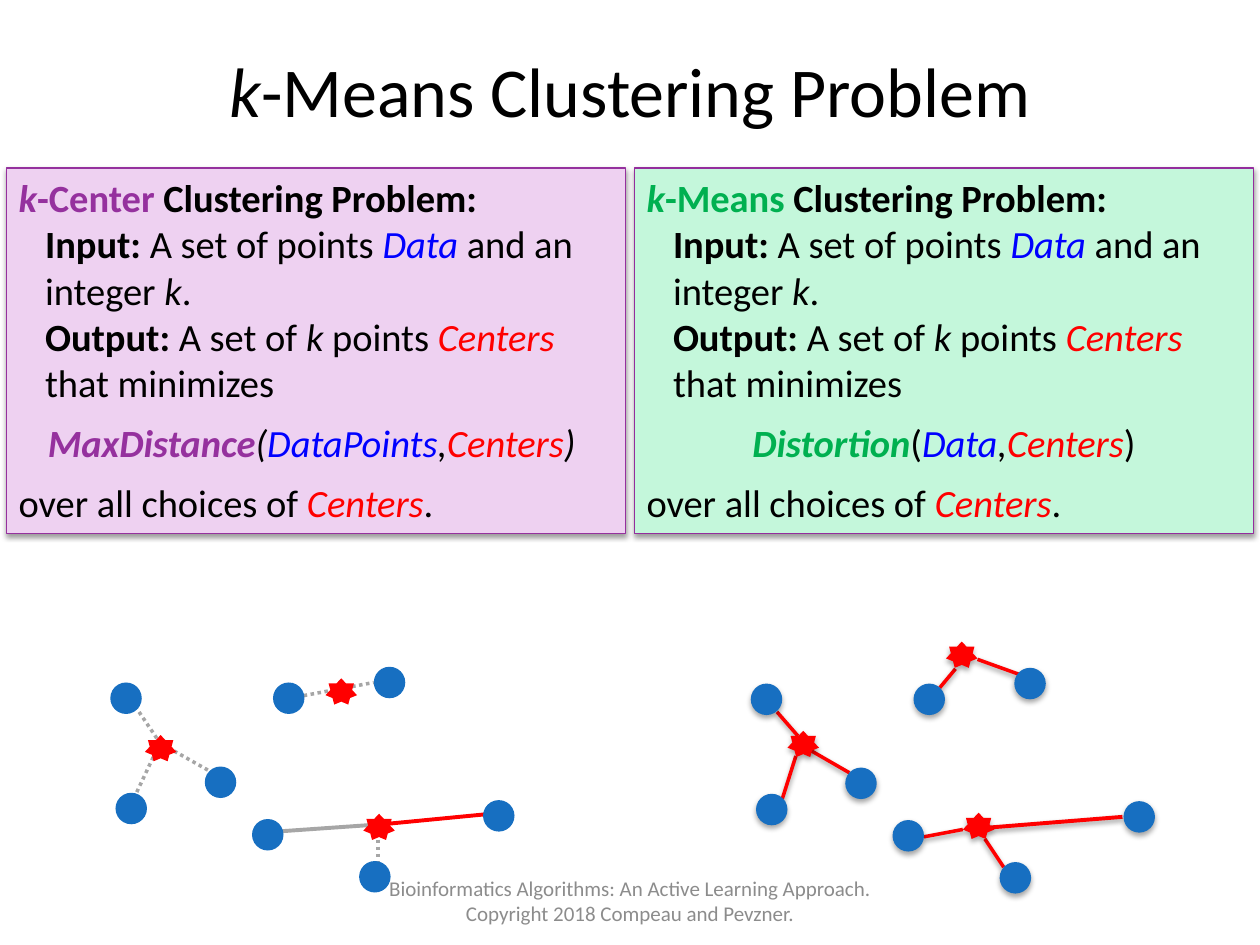
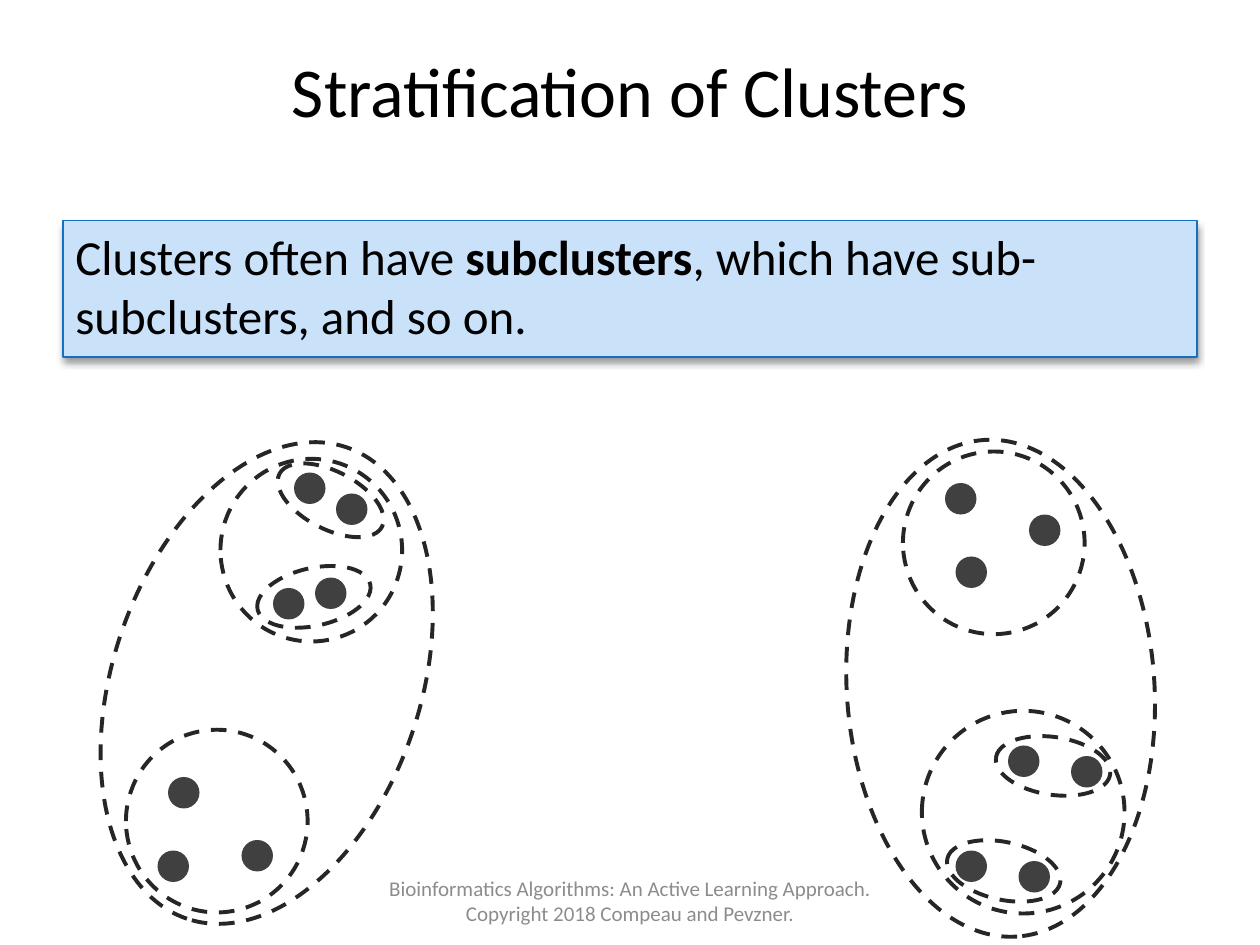
from dataclasses import dataclass
from typing import Any, NamedTuple, Optional

from lxml.etree import SubElement
from pptx import Presentation
from pptx.dml.color import RGBColor
from pptx.enum.dml import MSO_LINE_DASH_STYLE as Dash
from pptx.enum.shapes import MSO_CONNECTOR_TYPE as Link, MSO_AUTO_SHAPE_TYPE as Preset
from pptx.enum.text import MSO_ANCHOR as Anchor, MSO_AUTO_SIZE as AutoSize, PP_ALIGN as Align
from pptx.oxml.ns import qn
from pptx.util import Inches, Pt

# Grid: 120 columns by 90 rows of square cells
SLIDE_WIDTH, SLIDE_HEIGHT = Inches(10), Inches(7.5)
CELL = SLIDE_WIDTH // 120

# Shared look
FONT = "Calibri"
BLACK = RGBColor(0x00, 0x00, 0x00)
RED = RGBColor(0xFF, 0x00, 0x00)
BLUE = RGBColor(0x00, 0x00, 0xFF)
GREEN = RGBColor(0x00, 0xB0, 0x50)
PURPLE = RGBColor(0x95, 0x31, 0x9E)
PLUM = RGBColor(0x94, 0x2D, 0x9D)
POINT_BLUE = RGBColor(0x17, 0x6F, 0xC1)
LILAC = RGBColor(0xEE, 0xD1, 0xF1)
MINT = RGBColor(0xC4, 0xF7, 0xDB)
SKY = RGBColor(0xCA, 0xE2, 0xF9)
LINK_GRAY = RGBColor(0xA6, 0xA6, 0xA6)
FOOTER_GRAY = RGBColor(0x8C, 0x8C, 0x8C)
DOT_GRAY = RGBColor(0x40, 0x40, 0x40)
RING_GRAY = RGBColor(0x26, 0x26, 0x26)
FOOTER = ("Bioinformatics Algorithms: An Active Learning Approach. "
          "Copyright 2018 Compeau and Pevzner.")


class Area(NamedTuple):
    """Left column, top row, columns and rows on the grid."""
    left: float
    top: float
    columns: float
    rows: float


class Shadow(NamedTuple):
    """Opacity in percent; blur and downward distance in points."""
    opacity: int
    blur: float
    distance: float


class Span(NamedTuple):
    text: str
    color: RGBColor = BLACK
    bold: bool = False
    italic: bool = False


@dataclass
class Stroke:
    color: RGBColor
    width: float
    dash: Optional[Dash] = None


@dataclass
class Para:
    spans: list[Span]
    format: dict[str, Any]
    indent: float = 0


@dataclass
class Segment:
    ends: tuple[float, float, float, float]
    stroke: Stroke


@dataclass
class Ring:
    area: Area
    rotation: float = 0


TITLE_AREA = Area(6, 1, 108, 15)
FOOTER_AREA = Area(34, 83.4, 52, 4.8)
DOT_SIZE = (3, 3)
STAR_SIZE = (3, 2.5)
POINT_SHADOW = Shadow(35, 3.1, 1.8)
LINE_SHADOW = Shadow(38, 3.1, 1.6)
BANNER_SHADOW = Shadow(40, 4, 3)


def cells(*counts: float) -> list[int]:
    return [round(count * CELL) for count in counts]


def apply(target: Any, values: dict[str, Any]) -> None:
    for name, value in values.items():
        setattr(target, name, value)


def set_shadow(shape: Any, shadow: Optional[Shadow]) -> None:
    """Replace the theme shadow by the given one, or by none."""
    effects = SubElement(shape._element.spPr, qn("a:effectLst"))
    if shadow:
        outer = SubElement(effects, qn("a:outerShdw"), blurRad=str(Pt(shadow.blur)),
                           dist=str(Pt(shadow.distance)), dir="5400000", rotWithShape="0")
        color = SubElement(outer, qn("a:srgbClr"), val="000000")
        SubElement(color, qn("a:alpha"), val=str(shadow.opacity * 1000))


def set_stroke(line: Any, stroke: Stroke) -> None:
    line.color.rgb = stroke.color
    line.width = Pt(stroke.width)
    if stroke.dash:
        line.dash_style = stroke.dash


def add_figure(page: Any, preset: Preset, area: Area, fill: Optional[RGBColor] = None,
               stroke: Optional[Stroke] = None, shadow: Optional[Shadow] = None) -> Any:
    shape = page.shapes.add_shape(preset, *cells(*area))
    if fill is None:
        shape.fill.background()
    else:
        shape.fill.solid()
        shape.fill.fore_color.rgb = fill
    if stroke is None:
        shape.line.fill.background()
    else:
        set_stroke(shape.line, stroke)
    set_shadow(shape, shadow)
    return shape


def add_segment(page: Any, segment: Segment, shadow: Optional[Shadow]) -> None:
    connector = page.shapes.add_connector(Link.STRAIGHT, *cells(*segment.ends))
    set_stroke(connector.line, segment.stroke)
    set_shadow(connector, shadow)


def write(box: Any, paras: list[Para], size: float, anchor: Anchor) -> None:
    frame = box.text_frame
    apply(frame, {"word_wrap": True, "auto_size": AutoSize.NONE, "vertical_anchor": anchor})
    for index, content in enumerate(paras):
        para = frame.add_paragraph() if index else frame.paragraphs[0]
        apply(para, content.format)
        if content.indent:
            para._p.get_or_add_pPr().set("marL", str(Inches(content.indent)))
        for span in content.spans:
            for part, text in enumerate(span.text.split("\n")):
                if part:
                    para.add_line_break()
                if text:
                    run = para.add_run()
                    run.text = text
                    apply(run.font, {"name": FONT, "size": Pt(size),
                                     "bold": span.bold, "italic": span.italic})
                    run.font.color.rgb = span.color


def add_page(deck: Any, title: list[Span]) -> Any:
    """Title-only page with the shared title style and footer."""
    page = deck.slides.add_slide(deck.slide_layouts[5])
    heading = page.shapes.title
    apply(heading, dict(zip(("left", "top", "width", "height"), cells(*TITLE_AREA))))
    centered = {"alignment": Align.CENTER}
    write(heading, [Para(title, centered)], 40, Anchor.MIDDLE)
    footer = page.shapes.add_textbox(*cells(*FOOTER_AREA))
    write(footer, [Para([Span(FOOTER, FOOTER_GRAY)], centered)], 12, Anchor.MIDDLE)
    return page


# Slide 1: problem statements
def problem(name: str, accent: RGBColor, formula: list[Span]) -> list[Para]:
    left = {"alignment": Align.LEFT}
    centers = Span("Centers", RED, italic=True)
    k = Span("k", italic=True)
    return [
        Para([Span("k", accent, True, True), Span(f"-{name} ", accent, True),
              Span("Clustering Problem:", bold=True)], left),
        Para([Span("Input:", bold=True), Span(" A set of points "),
              Span("Data", BLUE, italic=True), Span(" and an\ninteger "), k, Span(".")],
             left, 0.21),
        Para([Span("Output:", bold=True), Span(" A set of "), k, Span(" points "), centers,
              Span("\nthat minimizes")], left, 0.21),
        Para(formula, {"alignment": Align.CENTER, "line_spacing": 1.3}),
        Para([Span("over all choices of "), centers, Span(".")],
             {"alignment": Align.LEFT, "line_spacing": 1.3}),
    ]


DISTANCE = [Span("MaxDistance", PURPLE, True, True), Span("(", italic=True),
            Span("DataPoints", BLUE, italic=True), Span(",", italic=True),
            Span("Centers", RED, italic=True), Span(") ", italic=True)]
DISTORTION = [Span("Distortion", GREEN, True, True), Span("("),
              Span("Data", BLUE, italic=True), Span(",", italic=True),
              Span("Centers", RED, italic=True), Span(")")]

# Slide 1: the same data points appear in both diagrams
DATA_POINTS = [(10.5, 65), (11, 75.5), (19.5, 73), (35.6, 63.5), (26, 65),
               (24, 78), (34.2, 82), (46, 76.2)]
MEANS_SHIFT = (61, 0.1)
CENTER_STARS = [(31, 64.6), (34.6, 77.5), (13.8, 70)]
MEANS_STARS = [(90.1, 61.1), (91.7, 77.4), (75, 69.6)]
DOTTED = Stroke(LINK_GRAY, 2, Dash.ROUND_DOT)
RED_LINK = Stroke(RED, 2)
RED_LONG = Stroke(RED, 2.25)
CENTER_LINKS = [
    Segment((26.3, 79.2, 36.4, 78.5), Stroke(LINK_GRAY, 2.25)),
    Segment((36.5, 78.5, 46.8, 77.5), RED_LONG),
    Segment((27.6, 66.5, 35.6, 65), DOTTED),
    Segment((16, 71.2, 19.9, 73.4), DOTTED),
    Segment((14.6, 72.1, 12.2, 77.2), DOTTED),
    Segment((36, 79.3, 36, 84.5), DOTTED),
    Segment((12.5, 66.7, 15.4, 71), DOTTED),
]
MEANS_LINKS = [
    Segment((74, 67.8, 76, 70.1), RED_LINK),
    Segment((76.9, 71.3, 80.9, 73.6), RED_LINK),
    Segment((75.8, 72, 74.5, 76.1), RED_LINK),
    Segment((88, 79.7, 91.7, 79), RED_LINK),
    Segment((93.8, 79.9, 95.6, 82.6), RED_LINK),
    Segment((89.5, 65.5, 91, 63.7), RED_LINK),
    Segment((93.1, 62.8, 97, 64.2), RED_LINK),
    Segment((94.4, 78.8, 106.9, 77.8), RED_LONG),
]


def add_diagram(page: Any, links: list[Segment], stars: list[tuple[float, float]],
                shift: tuple[float, float], shaded: bool) -> None:
    point_shadow = POINT_SHADOW if shaded else None
    for link in links:
        add_segment(page, link, LINE_SHADOW if shaded else None)
    for column, row in DATA_POINTS:
        area = Area(column + shift[0], row + shift[1], *DOT_SIZE)
        add_figure(page, Preset.OVAL, area, POINT_BLUE, shadow=point_shadow)
    for star in stars:
        add_figure(page, Preset.STAR_7_POINT, Area(*star, *STAR_SIZE), RED, shadow=point_shadow)


def build_problem_page(deck: Any) -> None:
    page = add_page(deck, [Span("k", italic=True), Span("-Means Clustering Problem")])
    add_diagram(page, CENTER_LINKS, CENTER_STARS, (0, 0), False)
    add_diagram(page, MEANS_LINKS, MEANS_STARS, MEANS_SHIFT, True)
    panels = [(0.6, LILAC, PURPLE, problem("Center", PURPLE, DISTANCE)),
              (60.4, MINT, PLUM, problem("Means", GREEN, DISTORTION))]
    for left, fill, edge, paras in panels:
        panel = add_figure(page, Preset.RECTANGLE, Area(left, 16, 59, 34.8), fill,
                           Stroke(edge, 0.75), LINE_SHADOW)
        write(panel, paras, 22, Anchor.TOP)


# Slide 2: nested clusters
CLUSTER_DOTS = [(16, 74), (15, 81), (23, 80), (26, 56), (28, 45), (30, 55), (32, 47),
                (91, 81), (102, 72), (91, 53), (98, 49), (96, 71), (90, 46), (97, 82)]
OUTER, MIDDLE, INNER = (47.4, 29.3), (17.3, 17.4), (11, 5.5)
RINGS = [
    Ring(Area(1.7, 50.4, *OUTER), 288.7), Ring(Area(71.6, 50.9, *OUTER), 266.2),
    Ring(Area(21, 43.7, *MIDDLE)), Ring(Area(12, 69.5, *MIDDLE)),
    Ring(Area(86, 43, *MIDDLE)), Ring(Area(87.8, 67.7, 19.3, 19.3)),
    Ring(Area(26, 44.9, *INNER), 27.3), Ring(Area(24.4, 54.1, *INNER), 347.4),
    Ring(Area(94.8, 70.2, *INNER), 8.5), Ring(Area(90.1, 80.2, *INNER), 12.1),
]


def build_strata_page(deck: Any) -> None:
    page = add_page(deck, [Span("Stratification of Clusters")])
    banner = add_figure(page, Preset.RECTANGLE, Area(6, 21, 108, 13), SKY,
                        Stroke(POINT_BLUE, 0.75), BANNER_SHADOW)
    message = [Span("Clusters often have "), Span("subclusters", bold=True),
               Span(", which have sub-subclusters, and so on.")]
    write(banner, [Para(message, {"alignment": Align.LEFT})], 28, Anchor.TOP)
    for dot in CLUSTER_DOTS:
        add_figure(page, Preset.OVAL, Area(*dot, *DOT_SIZE), DOT_GRAY)
    for ring in RINGS:
        outline = add_figure(page, Preset.OVAL, ring.area,
                             stroke=Stroke(RING_GRAY, 2.25, Dash.DASH))
        outline.rotation = ring.rotation


def main() -> None:
    deck = Presentation()
    apply(deck, {"slide_width": SLIDE_WIDTH, "slide_height": SLIDE_HEIGHT})
    build_problem_page(deck)
    build_strata_page(deck)
    deck.save("out.pptx")


if __name__ == "__main__":
    main()
